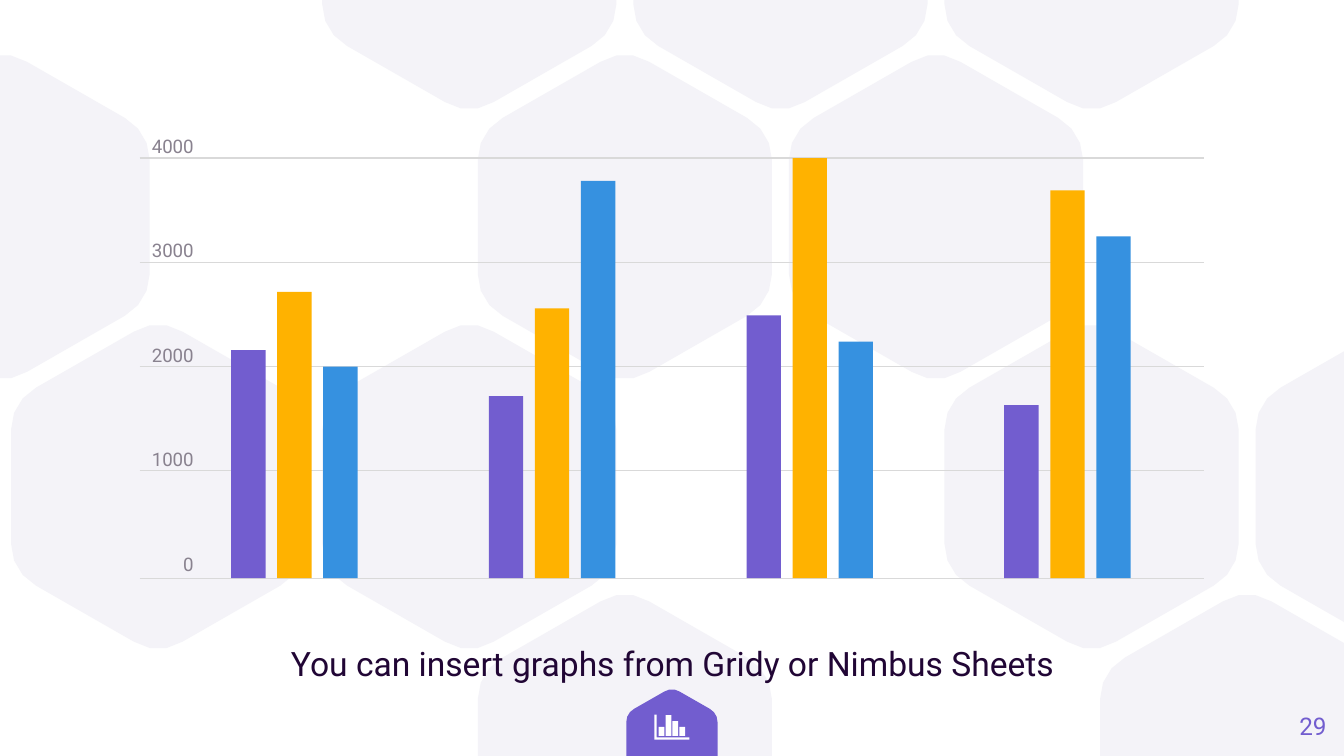
"""Build a slide with a grouped bar graph over a honeycomb backdrop."""
from lxml.etree import SubElement
from pptx import Presentation
from pptx.dml.color import RGBColor
from pptx.enum.shapes import MSO_CONNECTOR, MSO_SHAPE
from pptx.enum.text import MSO_ANCHOR, PP_ALIGN
from pptx.oxml.ns import qn
from pptx.util import Cm, Pt

COLORS = {
    "honeycomb": "F4F3F8", "purple": "725DCF", "yellow": "FFB200",
    "blue": "3691E0", "grid": "D9D9D9", "label": "89828F",
    "caption": "210635", "white": "FFFFFF",
}
WIDTH, HEIGHT = 25.4, 14.29


def paint(sp, color):
    sp.shadow.inherit = False
    sp.fill.solid()
    sp.fill.fore_color.rgb = RGBColor.from_string(COLORS[color])
    sp.line.fill.background()


def write(box, lines, size, color, align):
    tf = s.shapes.add_textbox(*map(Cm, box)).text_frame
    tf.word_wrap = True
    tf.margin_left = tf.margin_right = tf.margin_top = tf.margin_bottom = 0
    tf.text = "\n".join(lines)
    for p in tf.paragraphs:
        p.alignment = align
        for r in p.runs:
            r.font.name = "Roboto"
            r.font.size = Pt(size)
            r.font.color.rgb = RGBColor.from_string(COLORS[color])
    return tf


prs = Presentation()
prs.slide_width, prs.slide_height = Cm(WIDTH), Cm(HEIGHT)
s = prs.slides.add_slide(prs.slide_layouts[6])

side_curve = [(2.78, -1.08), (2.78, -1.41), (2.6, -1.71), (2.31, -1.87)]
top_curve = [(0.46, -2.93), (0.18, -3.11), (-0.18, -3.11), (-0.46, -2.93)]
corners = []
for curve in (side_curve, top_curve):
    corner = []
    for step in range(4):
        t = step / 3
        weights = ((1 - t) ** 3, 3 * t * (1 - t) ** 2, 3 * t ** 2 * (1 - t), t ** 3)
        corner.append(tuple(sum(w * pt[i] for w, pt in zip(weights, curve))
                            for i in (0, 1)))
    corners.append(corner)
side, top = corners
upper = side + top + [(-x, y) for x, y in reversed(side)]
hexagon = upper + [(-x, -y) for x, y in upper]

rows = [(3, 5, 7), (0, 4, 6), (1, 3, 7, 9), (4, 8)]
cells = [(0.05 + 2.94 * col, -1 + 5.1 * row, 1, "honeycomb")
         for row, cols in enumerate(rows) for col in cols]
cells.append((WIDTH / 2, 13.98, 0.31, "purple"))
outlines = []
for cx, cy, scale, color in cells:
    points = [(cx + scale * x, cy + scale * y) for x, y in hexagon]
    inside = [(x, y) for x, y in points if 0 <= y <= HEIGHT]
    if len(inside) < len(points):
        edge = 0 if cy < 0 else HEIGHT
        half = 2.78 * scale
        left, right = (cx - half, edge), (cx + half, edge)
        inside += [right, left] if edge == 0 else [left, right]
    outlines.append((inside, color))
icon_axes = [(12.37, 13.51), (12.41, 13.51), (12.41, 13.94),
             (13.03, 13.94), (13.03, 13.98), (12.37, 13.98)]
outlines.append((icon_axes, "white"))
for points, color in outlines:
    points = [(Cm(x), Cm(y)) for x, y in points]
    builder = s.shapes.build_freeform(*points[0], scale=1.0)
    builder.add_line_segments(points[1:], close=True)
    paint(builder.convert_to_shape(), color)

for i, bar_top in enumerate((13.74, 13.52, 13.63, 13.74)):
    sp = s.shapes.add_shape(MSO_SHAPE.RECTANGLE, Cm(12.45 + 0.13 * i),
                            Cm(bar_top), Cm(0.11), Cm(13.91 - bar_top))
    paint(sp, "white")

tf = write((2.39, 12.04, 20.65, 0.79),
           ["You can insert graphs from Gridy or Nimbus Sheets"],
           18, "caption", PP_ALIGN.CENTER)
tf.paragraphs[0].line_spacing = 1.15
tf.paragraphs[0].space_after = Pt(8)
tf = write((23.55, 13.18, 1.52, 1.09), ["29"], 13, "purple", PP_ALIGN.RIGHT)
tf.vertical_anchor = MSO_ANCHOR.MIDDLE

baseline = 10.93
for y in (2.99, 4.96, 6.93, 8.89, baseline):
    line = s.shapes.add_connector(MSO_CONNECTOR.STRAIGHT,
                                  Cm(2.64), Cm(y), Cm(22.76), Cm(y))
    line.line.color.rgb = RGBColor.from_string(COLORS["grid"])
    line.line.width = Pt(0.75)
    SubElement(line._element.spPr, qn("a:effectLst"))

tf = write((2.64, 2.54, 1.02, 8.41), ["4000", "3000", "2000", "1000", "0"],
           10, "label", PP_ALIGN.RIGHT)
for p in tf.paragraphs[1:]:
    p.space_before = Pt(44)
tf.paragraphs[-1].space_after = Pt(44)

bar_heights = [(4.31, 5.41, 4), (3.44, 5.1, 7.51),
               (4.97, 7.94, 4.47), (3.27, 7.33, 6.46)]
for group, heights in enumerate(bar_heights):
    for i, (height, color) in enumerate(zip(heights, ("purple", "yellow", "blue"))):
        sp = s.shapes.add_shape(MSO_SHAPE.RECTANGLE,
                                Cm(4.37 + 4.87 * group + 0.87 * i),
                                Cm(baseline - height), Cm(0.65), Cm(height))
        paint(sp, color)

prs.save("out.pptx")
